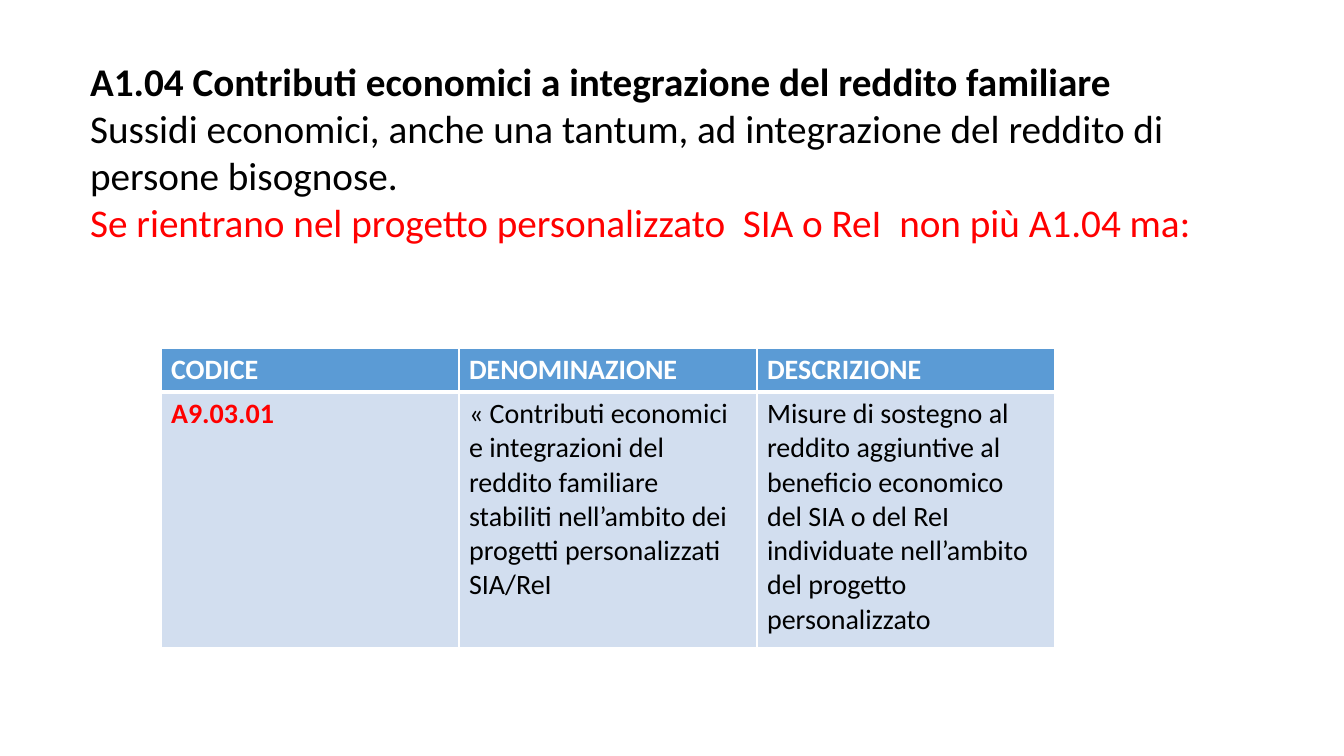
from pptx import Presentation
from pptx.dml.color import RGBColor as Rgb
from pptx.enum.text import MSO_ANCHOR as Anchor, MSO_AUTO_SIZE as Fit, PP_ALIGN as Align
from pptx.oxml import parse_xml
from pptx.oxml.ns import nsdecls
from pptx.util import Pt

PX = 914400 / 100.8
THEME = {
    "font": "Calibri", "title": 28, "cell": 20,
    "ink": "000000", "alert": "FF0000", "white": "FFFFFF",
    "head": "5B9BD5", "band": "D2DEEF",
}


def px(n):
    return round(n * PX)


def write(para, text, size, tint, bold):
    run = para.add_run()
    run.text = text
    look = {"name": THEME["font"], "size": Pt(THEME[size]), "bold": bold}
    for key, value in look.items():
        setattr(run.font, key, value)
    run.font.color.rgb = Rgb.from_string(THEME[tint])


deck = Presentation()
deck.slide_width, deck.slide_height = px(1344), px(756)
slide = deck.slides.add_slide(deck.slide_layouts[5])

title = slide.shapes.title
place = {"left": 80, "top": 52, "width": 1209, "height": 201}
for key, value in place.items():
    setattr(title, key, px(value))
frame = title.text_frame
setup = {"word_wrap": True, "auto_size": Fit.SHAPE_TO_FIT_TEXT, "vertical_anchor": Anchor.TOP}
for key, value in setup.items():
    setattr(frame, key, value)

lines = [
    ("A1.04 Contributi economici a integrazione del reddito familiare", "ink", True, Align.LEFT),
    ("Sussidi economici, anche una tantum, ad integrazione del reddito di persone bisognose.",
     "ink", False, Align.LEFT),
    ("Se rientrano nel progetto personalizzato  SIA o ReI  non più A1.04 ma:",
     "alert", False, Align.JUSTIFY),
]
for i, (text, tint, bold, align) in enumerate(lines):
    para = frame.add_paragraph() if i else frame.paragraphs[0]
    para.alignment = align
    write(para, text, "title", tint, bold)

rows = [
    [("CODICE", "white", True), ("DENOMINAZIONE", "white", True), ("DESCRIZIONE", "white", True)],
    [("A9.03.01", "alert", True),
     ("« Contributi economici e integrazioni del reddito familiare stabiliti "
      "nell’ambito dei progetti personalizzati SIA/ReI", "ink", False),
     ("Misure di sostegno al reddito aggiuntive al beneficio economico del SIA o del ReI "
      "individuate nell’ambito del progetto personalizzato", "ink", False)],
]
table = slide.shapes.add_table(2, 3, px(161), px(348), px(894), px(299)).table
for row, high in zip(table.rows, (43, 256)):
    row.height = px(high)

for r, row in enumerate(rows):
    for c, (text, tint, bold) in enumerate(row):
        cell = table.cell(r, c)
        write(cell.text_frame.paragraphs[0], text, "cell", tint, bold)
        edges = {"L": 1, "R": 1, "T": 1 if r == 0 else 3, "B": 3 if r == 0 else 1}
        for side, width in edges.items():
            cell._tc.get_or_add_tcPr().append(parse_xml(
                f'<a:ln{side} {nsdecls("a")} w="{Pt(width)}"><a:solidFill>'
                f'<a:srgbClr val="{THEME["white"]}"/></a:solidFill></a:ln{side}>'))
        cell.fill.solid()
        cell.fill.fore_color.rgb = Rgb.from_string(THEME["band" if r else "head"])

deck.save("out.pptx")
